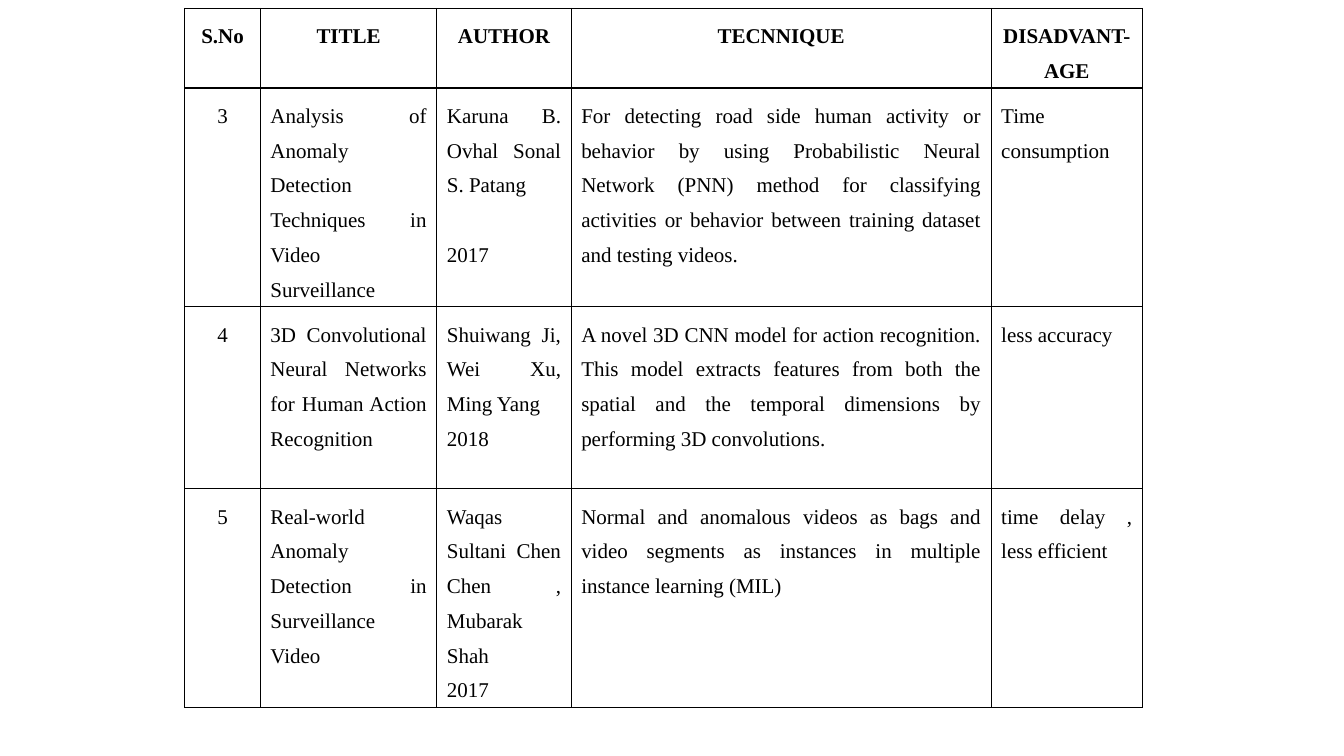
from lxml.etree import SubElement, Element
from pptx import Presentation
from pptx.dml.color import RGBColor
from pptx.enum.text import PP_ALIGN as Align
from pptx.oxml.ns import qn
from pptx.util import Pt

BLACK = RGBColor(0, 0, 0)
WHITE = RGBColor(255, 255, 255)
FONT = "Times New Roman"
FONT_SIZE = 15
LINE_PITCH = 24.9
COLUMN_SHARES = [54, 126, 96, 300, 108]
ROW_HEIGHTS = [49, 135, 130, 130]
HEADINGS = ["S.No", "TITLE", "AUTHOR", "TECNNIQUE", "DISADVANT-AGE"]
PAPERS = [
    ["3", "Analysis of Anomaly Detection Techniques in Video Surveillance",
     "Karuna B. Ovhal Sonal S. Patang\n2017",
     "For detecting road side human activity or behavior by using Probabilistic "
     "Neural Network (PNN) method for classifying activities or behavior between "
     "training dataset and testing videos.",
     "Time consumption"],
    ["4", "3D Convolutional Neural Networks for Human Action Recognition",
     "Shuiwang Ji, Wei Xu, Ming Yang\n2018",
     "A novel 3D CNN model for action recognition. This model extracts features "
     "from both the spatial and the temporal dimensions by performing 3D "
     "convolutions.",
     "less accuracy"],
    ["5", "Real-world Anomaly Detection in Surveillance Video",
     "Waqas Sultani Chen Chen , Mubarak Shah\n2017",
     "Normal and anomalous videos as bags and video segments as instances in "
     "multiple instance learning (MIL)",
     "time delay , less efficient"],
]


def add_borders(cell):
    properties = cell._tc.get_or_add_tcPr()
    for position, side in enumerate(("lnL", "lnR", "lnT", "lnB")):
        border = Element(qn(f"a:{side}"), w=str(Pt(1)))
        ink = SubElement(border, qn("a:solidFill"))
        SubElement(ink, qn("a:srgbClr"), val=str(BLACK))
        properties.insert(position, border)


def fill_cell(cell, wording, align, bold):
    cell.fill.solid()
    cell.fill.fore_color.rgb = WHITE
    add_borders(cell)
    cell.text_frame.text = wording
    for paragraph in cell.text_frame.paragraphs:
        paragraph.alignment = align
        paragraph.line_spacing = 1.5
        for run in paragraph.runs:
            run.font.name = FONT
            run.font.size = Pt(FONT_SIZE)
            run.font.bold = bold
            run.font.color.rgb = BLACK


def add_survey_table(slide, left, top, width):
    rows = [HEADINGS] + PAPERS
    survey = slide.shapes.add_table(
        len(rows), len(HEADINGS), Pt(left), Pt(top), Pt(width), Pt(sum(ROW_HEIGHTS))
    ).table
    survey.first_row = False
    survey.horz_banding = False
    for column, share in zip(survey.columns, COLUMN_SHARES):
        column.width = Pt(width * share / sum(COLUMN_SHARES))
    for r, wordings in enumerate(rows):
        survey.rows[r].height = Pt(ROW_HEIGHTS[r])
        for c, wording in enumerate(wordings):
            align = Align.CENTER if r == 0 or c == 0 else Align.JUSTIFY
            fill_cell(survey.cell(r, c), wording, align, r == 0)
    first_paper_year = survey.cell(1, 2).text_frame.paragraphs[-1]
    first_paper_year.space_before = Pt(LINE_PITCH)


def main():
    deck = Presentation()
    deck.slide_width, deck.slide_height = Pt(960), Pt(540)
    slide = deck.slides.add_slide(deck.slide_layouts[6])
    add_survey_table(slide, 132, 6, 684)
    deck.save("out.pptx")


if __name__ == "__main__":
    main()
